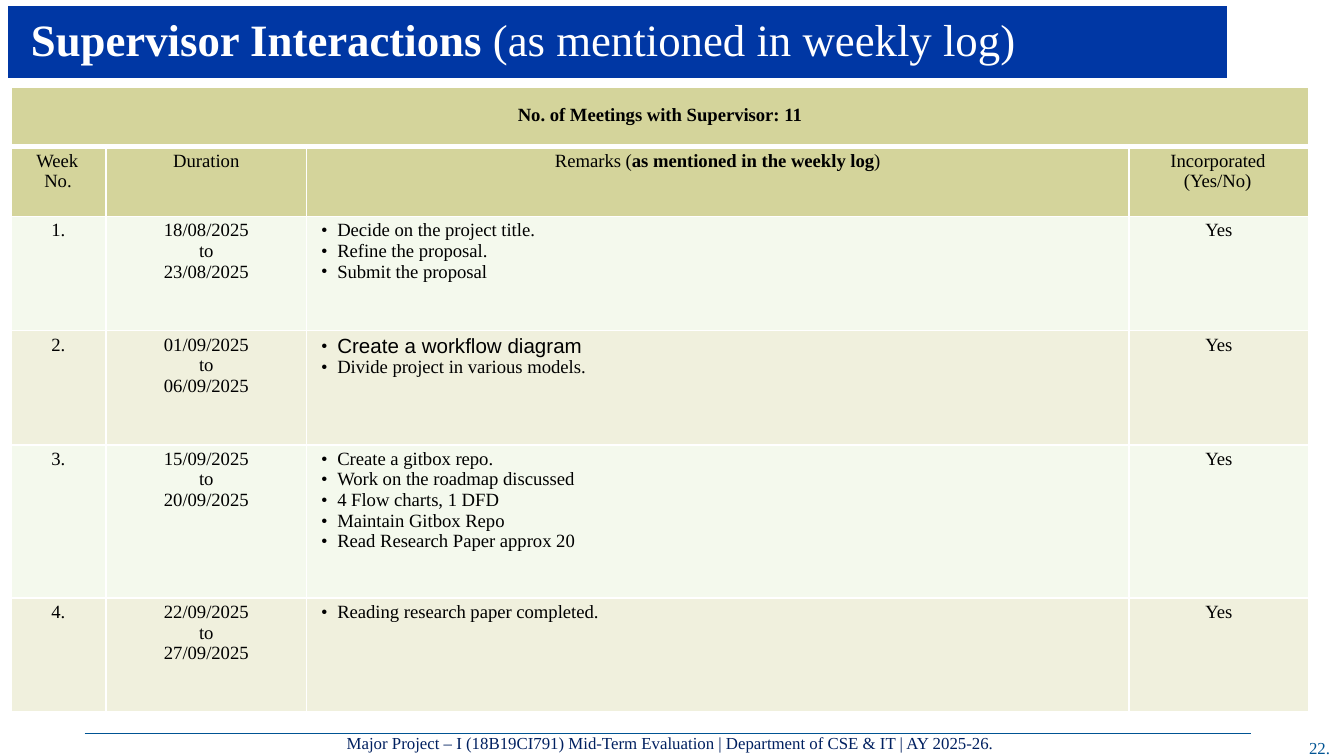
from dataclasses import dataclass
from lxml import etree
from pptx import Presentation, oxml, util as u
from pptx.dml.color import RGBColor as Rgb
from pptx.enum import shapes, text
from pptx.oxml.ns import nsdecls, qn


@dataclass
class Theme:
    face: str = "Times New Roman"
    alt: str = "Arial"
    big: float = 24
    mid: float = 11
    base: float = 10
    small: float = 9
    white: str = "FFFFFF"
    black: str = "000000"
    blue: str = "0037A4"
    teal: str = "005493"
    navy: str = "002060"
    head: str = "D4D49B"
    bands: tuple = ("F4F9ED", "F0F0DD")


look = Theme()
MID = text.PP_ALIGN.CENTER
LEFT = text.PP_ALIGN.LEFT


def put(para, runs, color=look.black, align=MID, left=0, first=0, right=0, dot=None, **form):
    """Write (words, bold) runs; left, first and right are indents, dot is the bullet's size in percent."""
    para.alignment = align
    props = para._p.get_or_add_pPr()
    for key, size in {"marL": left, "indent": first, "marR": right}.items():
        props.set(key, str(u.Inches(size)))
    if dot:
        etree.SubElement(props, qn("a:buSzPct")).set("val", str(dot * 1000))
        etree.SubElement(props, qn("a:buFont")).set("typeface", look.face)
        etree.SubElement(props, qn("a:buChar")).set("char", "•")
    for words, bold in runs:
        run = para.add_run()
        run.text = words
        for key, value in ({"name": look.face, "size": u.Pt(look.base), "bold": bold} | form).items():
            setattr(run.font, key, value)
        run.font.color.rgb = Rgb.from_string(color)


def edge(cell, **sides):
    """Draw white borders, each side given its width in points."""
    props = cell._tc.get_or_add_tcPr()
    for spot, side in enumerate("LRTB"):
        props.insert(spot, oxml.parse_xml(
            f'<a:ln{side} {nsdecls("a")} w="{u.Pt(sides.get(side, 1))}"><a:solidFill>'
            f'<a:srgbClr val="{look.white}"/></a:solidFill></a:ln{side}>'))


deck = Presentation()
deck.slide_width, deck.slide_height = u.Inches(10), u.Inches(10 * 9 / 16)
slide = deck.slides.add_slide(deck.slide_layouts[5])

# Title bar and footer rule
bar = slide.shapes.add_shape(shapes.MSO_SHAPE.RECTANGLE, *map(u.Inches, (0.04, 0.03, 9.11, 0.57)))
bar.shadow.inherit = False
bar.fill.solid()
bar.fill.fore_color.rgb = Rgb.from_string(look.blue)
bar.line.color.rgb = Rgb.from_string(look.white)
bar.line.width = u.Pt(2.5)

rule = slide.shapes.add_connector(shapes.MSO_CONNECTOR.STRAIGHT,
                                  *map(u.Inches, (0.63, 5.46, 9.31, 5.46)))
rule.line.color.rgb = Rgb.from_string(look.teal)
rule.line.width = u.Pt(0.75)
etree.SubElement(rule._element.spPr, qn("a:effectLst"))

# Title, footer and page number
title = slide.shapes.title
slide.shapes._spTree.append(title._element)
foot, page = [slide.shapes.add_textbox(0, 0, 0, 0) for _ in range(2)]
labels = [
    (title, (0.22, 0.08, 7.36, 0.43), look.big, look.white, 0.01,
     [("Supervisor Interactions ", True), ("(as mentioned in weekly log)", False)]),
    (foot, (2.57, 5.45, 4.87, 0.17), look.small, look.navy, 0.01,
     [("Major Project – I (18B19CI791) Mid-Term Evaluation | "
       "Department of CSE & IT | AY 2025-26.", False)]),
    (page, (9.7, 5.49, 0.21, 0.17), look.small, look.teal, 0.04, [("22.", False)]),
]
for box, place, size, color, left, runs in labels:
    box.left, box.top, box.width, box.height = map(u.Inches, place)
    frame = box.text_frame
    form = {"margin_left": 0, "margin_right": 0, "margin_bottom": 0,
            "margin_top": u.Inches(0.01) if box is title else 0,
            "word_wrap": True, "auto_size": text.MSO_AUTO_SIZE.NONE,
            "vertical_anchor": text.MSO_ANCHOR.TOP}
    for key, value in form.items():
        setattr(frame, key, value)
    put(frame.paragraphs[0], runs, color, LEFT, left, size=u.Pt(size))

# Meeting log
weeks = [
    ("18/08/2025", "23/08/2025",
     ["Decide on the project title.", "Refine the proposal.", "Submit the proposal"]),
    ("01/09/2025", "06/09/2025",
     ["Create a workflow diagram", "Divide project in various models."]),
    ("15/09/2025", "20/09/2025",
     ["Create a gitbox repo.", "Work on the roadmap discussed", "4 Flow charts, 1 DFD",
      "Maintain Gitbox Repo", "Read Research Paper approx 20"]),
    ("22/09/2025", "27/09/2025", ["Reading research paper completed."]),
]
wide = (0.71, 1.49, 6.12, 1.34)
high = (0.44, 0.52, 0.85, 0.85, 1.14, 0.85)
grid = slide.shapes.add_table(len(high), len(wide), *map(
    u.Inches, (0.08, 0.65, sum(wide), sum(high)))).table
grid.first_row = grid.horz_banding = False
for col, size in zip(grid.columns, wide):
    col.width = u.Inches(size)
for row, size in zip(grid.rows, high):
    row.height = u.Inches(size)

for r, row in enumerate(grid.rows):
    for cell in row.cells:
        form = {"margin_left": 0, "margin_right": 0, "margin_bottom": 0,
                "margin_top": u.Inches(0.03 if r else 0.13),
                "vertical_anchor": text.MSO_ANCHOR.TOP}
        for key, value in form.items():
            setattr(cell, key, value)
        cell.fill.solid()
        cell.fill.fore_color.rgb = Rgb.from_string(look.head if r < 2 else look.bands[r % 2])
        edge(cell, **({"B": 3}, {"T": 3})[r] if r < 2 else {})
grid.cell(0, 0).merge(grid.cell(0, 3))

put(grid.cell(0, 0).text_frame.paragraphs[0], [("No. of Meetings with Supervisor: 11", True)])
heads = [
    ([("Week No.", False)], {"align": LEFT, "left": 0.25, "first": -0.06, "right": 0.1}),
    ([("Duration", False)], {}),
    ([("Remarks (", False), ("as mentioned in the weekly log", True), (")", False)], {}),
    ([("Incorporated (Yes/No)", False)], {"align": LEFT, "left": 0.41, "first": -0.1, "right": 0.2}),
]
for c, (runs, form) in enumerate(heads):
    put(grid.cell(1, c).text_frame.paragraphs[0], runs, **form)

for n, (start, end, notes) in enumerate(weeks, 1):
    week, span, list_, done = [cell.text_frame for cell in grid.rows[n + 1].cells]
    put(week.paragraphs[0], [(f"{n}.", False)])
    put(span.paragraphs[0], [(start, False)])
    put(span.add_paragraph(), [(f"to {end}", False)], left=0.41, right=0.41)
    put(done.paragraphs[0], [("Yes", False)])
    for i, note in enumerate(notes):
        para = list_.add_paragraph() if i else list_.paragraphs[0]
        alt = note == "Create a workflow diagram"
        form = {"name": look.alt, "size": u.Pt(look.mid)} if alt else {}
        put(para, [(note, False)], align=LEFT, left=0.23, first=-0.12,
            dot=91 if alt else 100, **form)

deck.save("out.pptx")
